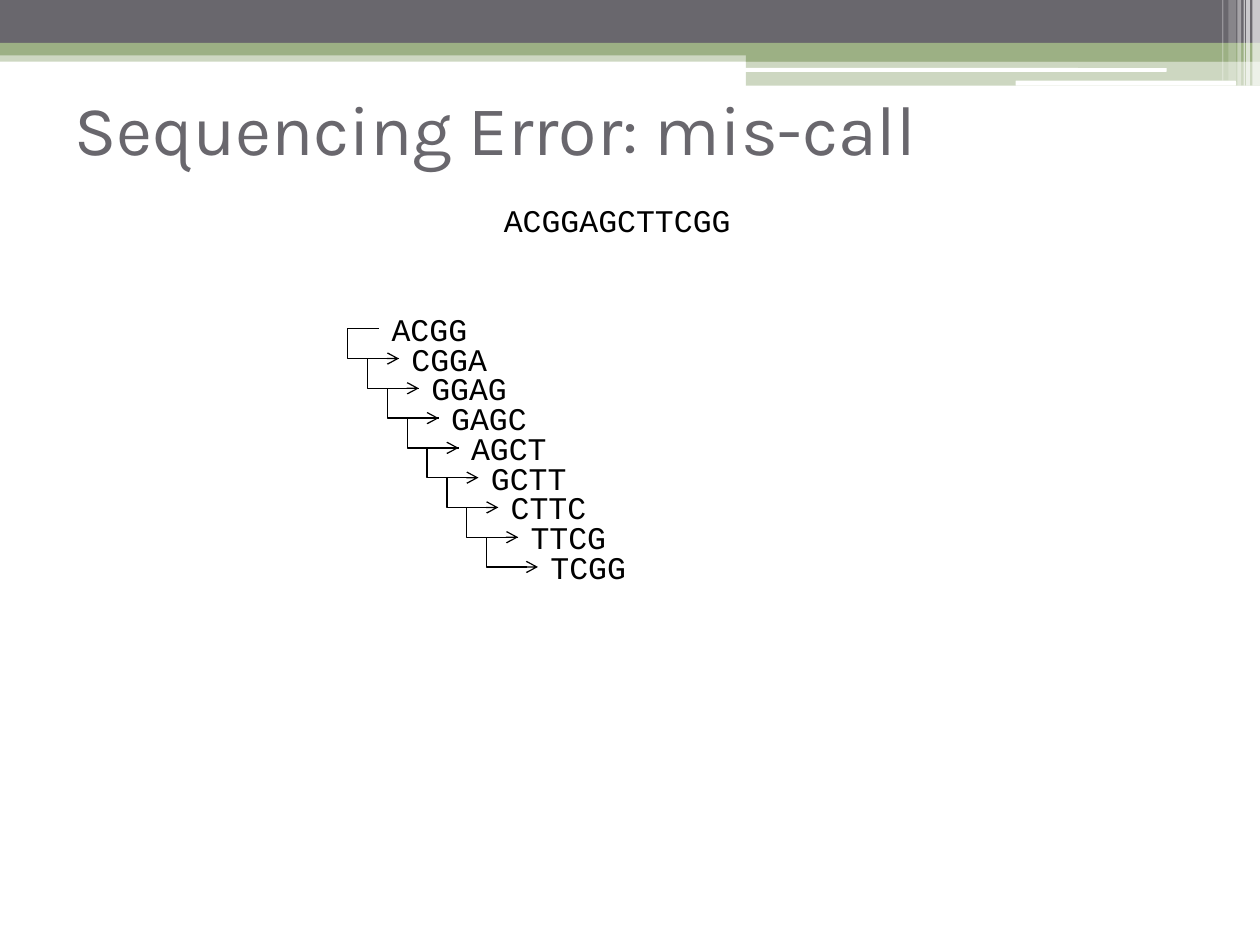
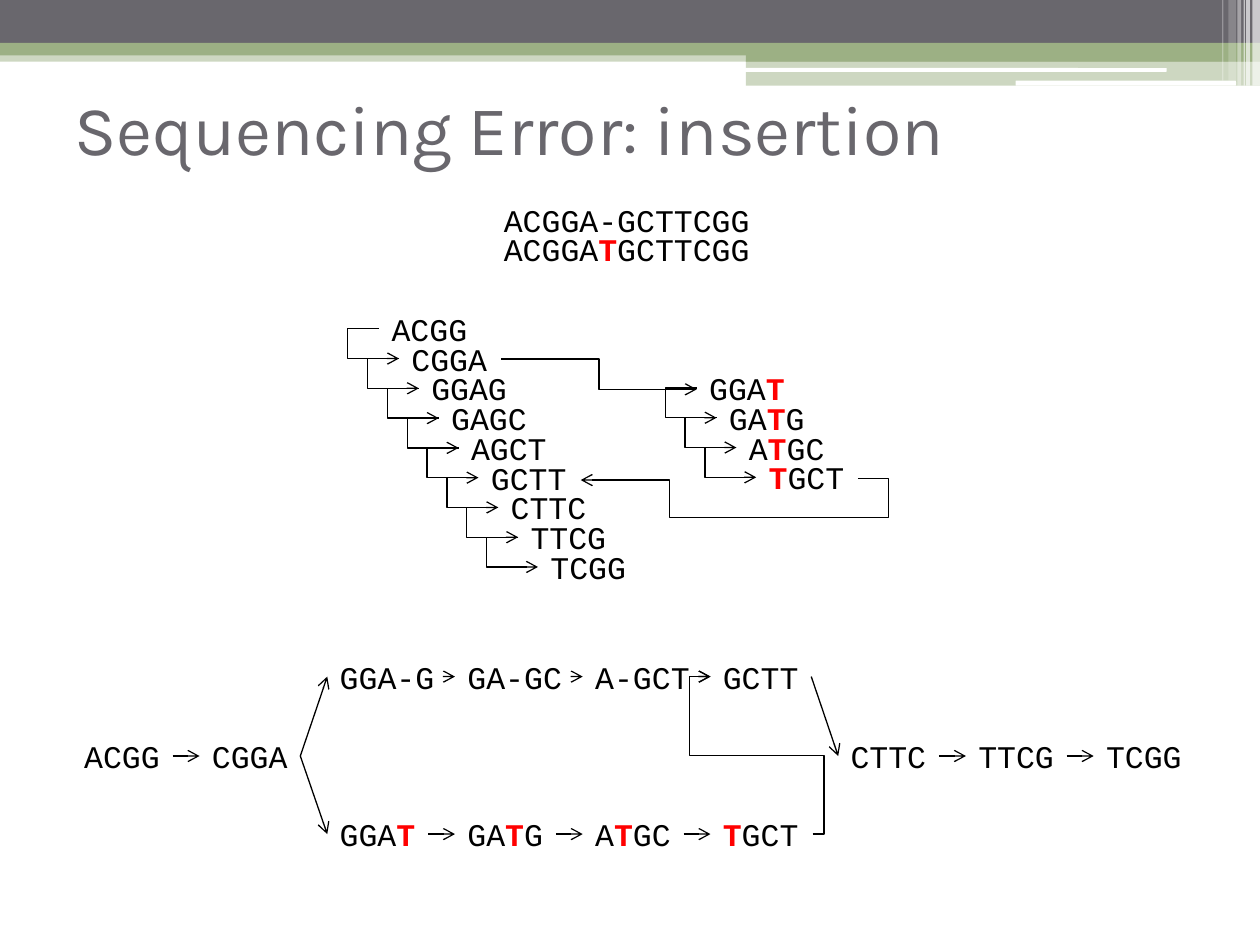
from lxml.etree import SubElement
from pptx import Presentation
from pptx.dml.color import RGBColor
from pptx.enum.shapes import MSO_CONNECTOR as Connector, MSO_SHAPE as Shape
from pptx.enum.text import MSO_ANCHOR as Anchor, MSO_AUTO_SIZE as AutoSize, PP_ALIGN as Align
from pptx.oxml.ns import qn
from pptx.util import Inches, Pt

COLORS = {
    "slate": "69676D",
    "green": "9CB084",
    "white": "FFFFFF",
    "black": "000000",
    "error": "FF0000",
}
RGB = {name: RGBColor.from_string(value) for name, value in COLORS.items()}

# left, top, width, height, colour, opacity in percent, shape
BANDS = [
    (0, 0.4, 10, 0.09, "green", 50, Shape.RECTANGLE),
    (0, 0, 10, 0.34, "slate", 100, Shape.RECTANGLE),
    (0, 0.34, 10, 0.1, "green", 100, Shape.RECTANGLE),
    (5.92, 0.39, 4.08, 0.1, "green", 100, Shape.RECTANGLE),
    (5.92, 0.48, 4.08, 0.2, "green", 50, Shape.RECTANGLE),
    (5.91, 0.54, 3.35, 0.03, "white", 100, Shape.ROUNDED_RECTANGLE),
    (8.06, 0.64, 1.75, 0.04, "white", 100, Shape.ROUNDED_RECTANGLE),
    (9.94, 0, 0.06, 0.68, "white", 65, Shape.RECTANGLE),
    (9.89, 0, 0.03, 0.68, "white", 65, Shape.RECTANGLE),
    (9.87, 0, 0.01, 0.68, "white", 60, Shape.RECTANGLE),
    (9.82, 0, 0.03, 0.68, "white", 40, Shape.RECTANGLE),
    (9.75, 0, 0.06, 0.64, "white", 20, Shape.RECTANGLE),
    (9.7, 0, 0.01, 0.64, "white", 30, Shape.RECTANGLE),
]

WORD_HEIGHT = 0.4
STAIR_X, STAIR_Y = 1.26 / 8, 1.89 / 8
COLUMN_LEFT, COLUMN_STEP = 0.57, 8.11 / 8

MAIN_STAIR = (3.01, 2.41, "ACGG CGGA GGAG GAGC AGCT GCTT CTTC TTCG TCGG".split())
ERROR_WORDS = "GGA*T* GA*T*G A*T*GC *T*GCT".split()
ERROR_STAIR = (5.53, 2.88, ERROR_WORDS)

# title, reads with their tops, staircases
PAGES = [
    ("Sequencing Error: mis-call", [("ACGGAGCTTCGG", 1.55)], [MAIN_STAIR]),
    ("Sequencing Error: insertion",
     [("ACGGA-GCTTCGG", 1.55), ("ACGGA*T*GCTTCGG", 1.78)],
     [MAIN_STAIR, ERROR_STAIR]),
]


def add_word(page, word, left, top):
    """Write a sequence; letters between asterisks are marked as errors."""
    width = 0.2 + 0.15 * len(word.replace("*", ""))
    box = page.shapes.add_textbox(
        Inches(left), Inches(top), Inches(width), Inches(WORD_HEIGHT))
    box.text_frame.word_wrap = False
    box.text_frame.auto_size = AutoSize.SHAPE_TO_FIT_TEXT
    para = box.text_frame.paragraphs[0]
    para.font.name, para.font.size = "Courier New", Pt(18)
    for index, letters in enumerate(word.split("*")):
        if letters:
            span = para.add_run()
            span.text = letters
            is_error = index % 2 == 1
            span.font.bold = is_error
            span.font.color.rgb = RGB["error" if is_error else "black"]
    return box


def add_arrow(page, start, end, bends=()):
    """Draw an arrow; one bend value gives three segments, three give five."""
    kind = Connector.ELBOW if bends else Connector.STRAIGHT
    arrow = page.shapes.add_connector(kind, *map(Inches, start + end))
    arrow.line.color.rgb = RGB["black"]
    arrow.line.width = Pt(0.75)
    properties = arrow.element.spPr
    SubElement(properties.find(qn("a:ln")), qn("a:tailEnd"), type="arrow")
    SubElement(properties, qn("a:effectLst"))
    if bends:
        geometry = properties.find(qn("a:prstGeom"))
        geometry.set("prst", f"bentConnector{len(bends) + 2}")
        guides = geometry.find(qn("a:avLst"))
        for number, bend in enumerate(bends, 1):
            SubElement(guides, qn("a:gd"), name=f"adj{number}",
                       fmla=f"val {round(bend * 100000)}")
    return arrow


deck = Presentation()
deck.slide_width, deck.slide_height = Inches(10), Inches(7.5)
layout = deck.slide_layouts[5]

for title, reads, stairs in PAGES:
    page = deck.slides.add_slide(layout)
    heading = page.shapes.title
    heading.left, heading.top = Inches(0.59), Inches(0.68)
    heading.width, heading.height = Inches(9.25), Inches(0.94)
    frame = heading.text_frame
    frame.text = title
    frame.auto_size = AutoSize.NONE
    frame.vertical_anchor = Anchor.TOP
    frame.margin_left = frame.margin_right = frame.margin_top = frame.margin_bottom = 0
    para = frame.paragraphs[0]
    para.alignment = Align.LEFT
    para.font.name, para.font.size = "Karla", Pt(40)
    para.font.color.rgb = RGB["slate"]

    for read, top in reads:
        add_word(page, read, 3.9, top)

    for left, top, words in stairs:
        for step, word in enumerate(words):
            x, y = left + step * STAIR_X, top + step * STAIR_Y
            add_word(page, word, x, y)
            if step:
                middle = y + WORD_HEIGHT / 2
                add_arrow(page, (x - STAIR_X, middle - STAIR_Y), (x, middle), [-1.59])

# The bands are drawn on a page, then moved to the layout that all pages share
for number, (left, top, width, height, color, opacity, shape) in enumerate(BANDS):
    band = page.shapes.add_shape(
        shape, Inches(left), Inches(top), Inches(width), Inches(height))
    band.shadow.inherit = False
    band.line.fill.background()
    band.fill.solid()
    band.fill.fore_color.rgb = RGB[color]
    if opacity < 100:
        paint = band.element.spPr.find(qn("a:solidFill"))[0]
        SubElement(paint, qn("a:alpha"), val=str(opacity * 1000))
    band.element.nvSpPr.cNvPr.id = 100 + number
    layout.shapes.element.append(band.element)

# Insertion page: the detour leaves the main staircase and comes back
add_arrow(page, (3.98, 2.85), (5.53, 3.09), [0.5])
add_arrow(page, (6.81, 3.8), (4.61, 3.81), [-0.11, 31, 0.68])

# Insertion page: the graph, as rows of first column, top and words
ROWS = {
    "start": (0, 5.8, ["ACGG", "CGGA"]),
    "correct": (2, 5.17, ["GGA-G", "GA-GC", "A-GCT", "GCTT"]),
    "error": (2, 6.42, ERROR_WORDS),
    "finish": (6, 5.8, ["CTTC", "TTCG", "TCGG"]),
}
graph = {}
for name, (column, top, words) in ROWS.items():
    graph[name] = [
        add_word(page, word, COLUMN_LEFT + (column + index) * COLUMN_STEP, top)
        for index, word in enumerate(words)]

links = [pair for row in graph.values() for pair in zip(row, row[1:])]
links += [(graph[tail][-1], graph[head][0]) for tail, head in
          [("correct", "finish"), ("start", "correct"), ("start", "error")]]
for source, target in links:
    arrow = add_arrow(page, (0, 0), (1, 1))
    arrow.begin_connect(source, 3)
    arrow.end_connect(target, 1)

add_arrow(page, (6.45, 6.62), (5.64, 5.37), [-0.11, 0.5, 1.21])

deck.save("out.pptx")
